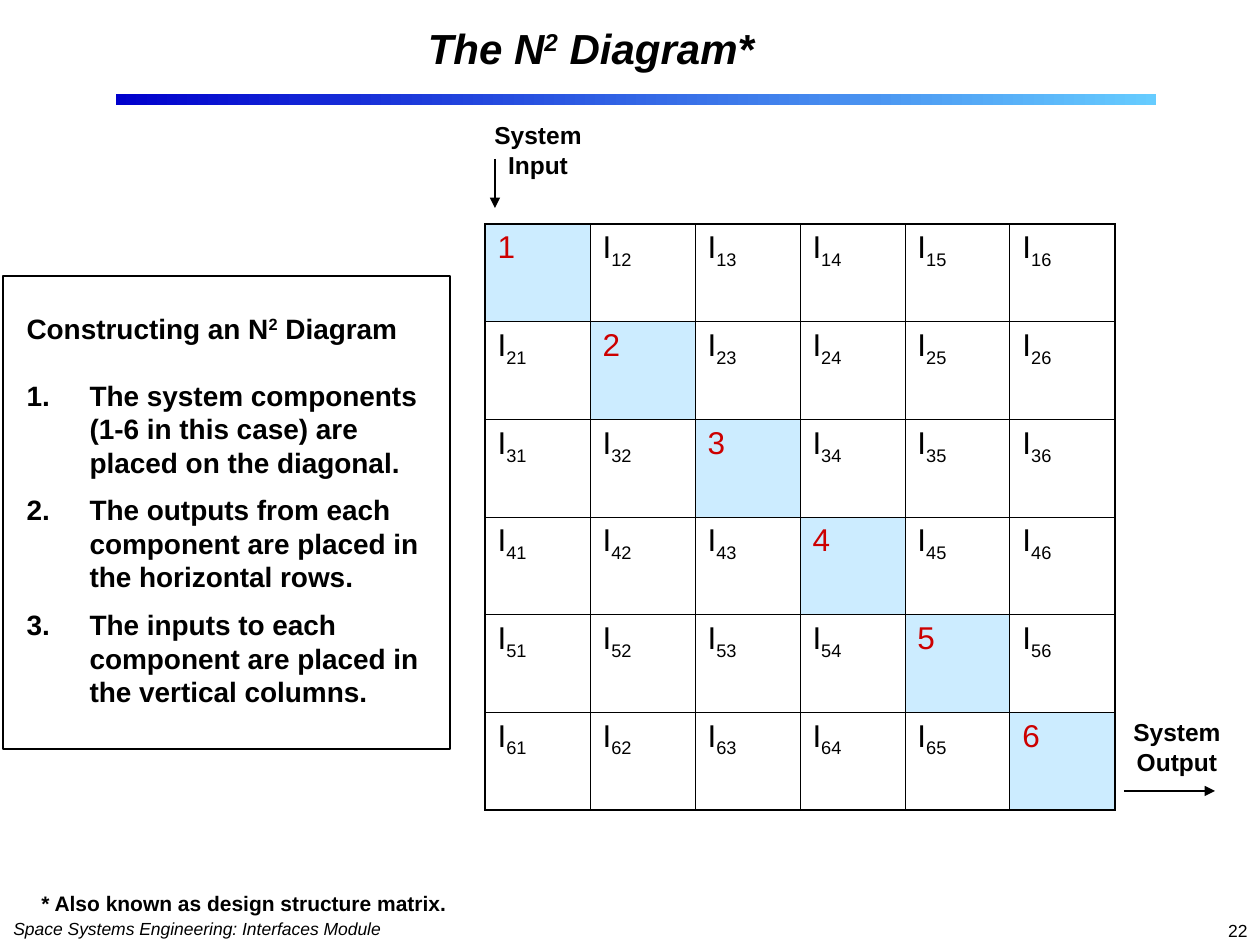
"""Build the slide that explains the N2 diagram."""
from dataclasses import dataclass

from lxml.etree import SubElement
from pptx import Presentation
from pptx.dml.color import RGBColor
from pptx.enum.shapes import MSO_CONNECTOR, MSO_SHAPE
from pptx.enum.text import MSO_ANCHOR, MSO_AUTO_SIZE, PP_ALIGN
from pptx.oxml.ns import qn
from pptx.util import Emu, Pt


@dataclass(frozen=True)
class Theme:
    font: str = "Arial"
    ink: str = "000000"
    red: str = "CC0000"
    pale: str = "CCECFF"
    dark: str = "0000CC"
    sky: str = "66CCFF"
    title: int = 24
    cell: int = 18
    body: int = 16
    label: int = 14
    note: int = 12
    foot: int = 10
    line: float = 0.75
    inner: float = 0.45
    outer: float = 1.08


THEME = Theme()
SUP, SUB = 30000, -25000
SIZE = 6
STEPS = [
    "The system components (1-6 in this case) are placed on the diagonal.",
    "The outputs from each component are placed in the horizontal rows.",
    "The inputs to each component are placed in the vertical columns.",
]


def px(*vals):
    return [Emu(round(val * 914400 / 126)) for val in vals]


def rgb(code):
    return RGBColor.from_string(code)


def write(frame, *paras, size, color=THEME.ink, bold=False, italic=False,
          align=PP_ALIGN.LEFT):
    for num, runs in enumerate(paras):
        para = frame.add_paragraph() if num else frame.paragraphs[0]
        para.alignment = align
        for part in [runs] if isinstance(runs, str) else runs:
            text, base = (part, 0) if isinstance(part, str) else part
            run = para.add_run()
            run.text = text
            font = run.font
            font.name, font.size = THEME.font, Pt(size)
            font.bold, font.italic = bold, italic
            font.color.rgb = rgb(color)
            if base:
                run._r.get_or_add_rPr().set("baseline", str(base))


def add_text(slide, box, *paras, wrap=False, **style):
    frame = slide.shapes.add_textbox(*px(*box)).text_frame
    frame.word_wrap = wrap
    if not wrap:
        frame.auto_size = MSO_AUTO_SIZE.SHAPE_TO_FIT_TEXT
    write(frame, *paras, **style)


def place(holder, box, anchor):
    holder.left, holder.top, holder.width, holder.height = px(*box)
    frame = holder.text_frame
    frame.auto_size = MSO_AUTO_SIZE.NONE
    frame.vertical_anchor = anchor
    return frame


def add_title(slide):
    frame = place(slide.shapes.title, (158, 16, 866, 63), MSO_ANCHOR.MIDDLE)
    write(frame, ["The N", ("2", SUP), " Diagram*"], size=THEME.title,
          bold=True, italic=True, align=PP_ALIGN.CENTER)


def add_steps(slide):
    frame = place(slide.placeholders[1], (14, 305, 436, 411), MSO_ANCHOR.TOP)
    head = ["Constructing an N", ("2", SUP), " Diagram"]
    write(frame, head, *STEPS, size=THEME.body, bold=True)
    for para, gap in zip(frame.paragraphs, (0, 19, 8, 8)):
        para.space_before = Pt(gap)
        props = para._p.get_or_add_pPr()
        indent = px(63)[0] if gap else 0
        props.set("marL", str(indent))
        props.set("indent", str(-indent))
        if gap:
            SubElement(props, qn("a:buFont"), typeface="+mj-lt")
            SubElement(props, qn("a:buAutoNum"), type="arabicPeriod")
        else:
            SubElement(props, qn("a:buNone"))


def add_rect(slide, box):
    rect = slide.shapes.add_shape(MSO_SHAPE.RECTANGLE, *px(*box))
    rect.shadow.inherit = False
    return rect


def add_bar(slide):
    bar = add_rect(slide, (116, 94, 1040, 11))
    bar.line.fill.background()
    bar.fill.gradient()
    bar.fill.gradient_angle = 0
    for stop, code in zip(bar.fill.gradient_stops, (THEME.dark, THEME.sky)):
        stop.color.rgb = rgb(code)


def add_frame(slide):
    rect = add_rect(slide, (3, 276, 447, 473))
    rect.fill.background()
    rect.line.color.rgb = rgb(THEME.ink)
    rect.line.width = Pt(THEME.line)


def add_arrow(slide, ends):
    arrow = slide.shapes.add_connector(MSO_CONNECTOR.STRAIGHT, *px(*ends))
    arrow.line.color.rgb = rgb(THEME.ink)
    arrow.line.width = Pt(THEME.line)
    SubElement(arrow.line._get_or_add_ln(), qn("a:tailEnd"), type="triangle")
    SubElement(arrow._element.spPr, qn("a:effectLst"))


def add_edges(cell, row, col):
    last = SIZE - 1
    sides = {"L": col == 0, "R": col == last, "T": row == 0, "B": row == last}
    props = cell._tc.get_or_add_tcPr()
    for side, rim in sides.items():
        width = Pt(THEME.outer if rim else THEME.inner)
        edge = SubElement(props, qn(f"a:ln{side}"), w=str(width))
        fill = SubElement(edge, qn("a:solidFill"))
        SubElement(fill, qn("a:srgbClr"), val=THEME.ink)


def add_matrix(slide):
    grid = slide.shapes.add_table(SIZE, SIZE, *px(485, 224, 630, 586)).table
    grid.first_row = grid.horz_banding = False
    for row in range(SIZE):
        for col in range(SIZE):
            cell = grid.cell(row, col)
            add_edges(cell, row, col)
            if row == col:
                cell.fill.solid()
                cell.fill.fore_color.rgb = rgb(THEME.pale)
                write(cell.text_frame, str(row + 1), size=THEME.cell,
                      color=THEME.red)
            else:
                cell.fill.background()
                mark = (f"{row + 1}{col + 1}", SUB)
                write(cell.text_frame, ["I", mark], size=THEME.cell)


def main():
    deck = Presentation()
    deck.slide_width, deck.slide_height = px(1260, 945)
    slide = deck.slides.add_slide(deck.slide_layouts[1])
    add_bar(slide)
    add_text(slide, (1, 912, 392, 34),
             "Space Systems Engineering: Interfaces Module",
             size=THEME.foot, italic=True)
    add_title(slide)
    add_matrix(slide)
    for left, top, word in ((478, 114, "Input"), (1117, 711, "Output")):
        add_text(slide, (left, top, 120, 72), "System", word,
                 size=THEME.label, bold=True, align=PP_ALIGN.CENTER)
    for ends in ((1124, 791, 1215, 791), (495, 159, 495, 208)):
        add_arrow(slide, ends)
    add_steps(slide)
    add_frame(slide)
    add_text(slide, (29, 884, 431, 38),
             "* Also known as design structure matrix.",
             size=THEME.note, bold=True)
    add_text(slide, (998, 914, 262, 31), "22", wrap=True, size=THEME.foot,
             align=PP_ALIGN.RIGHT)
    deck.save("out.pptx")


if __name__ == "__main__":
    main()
